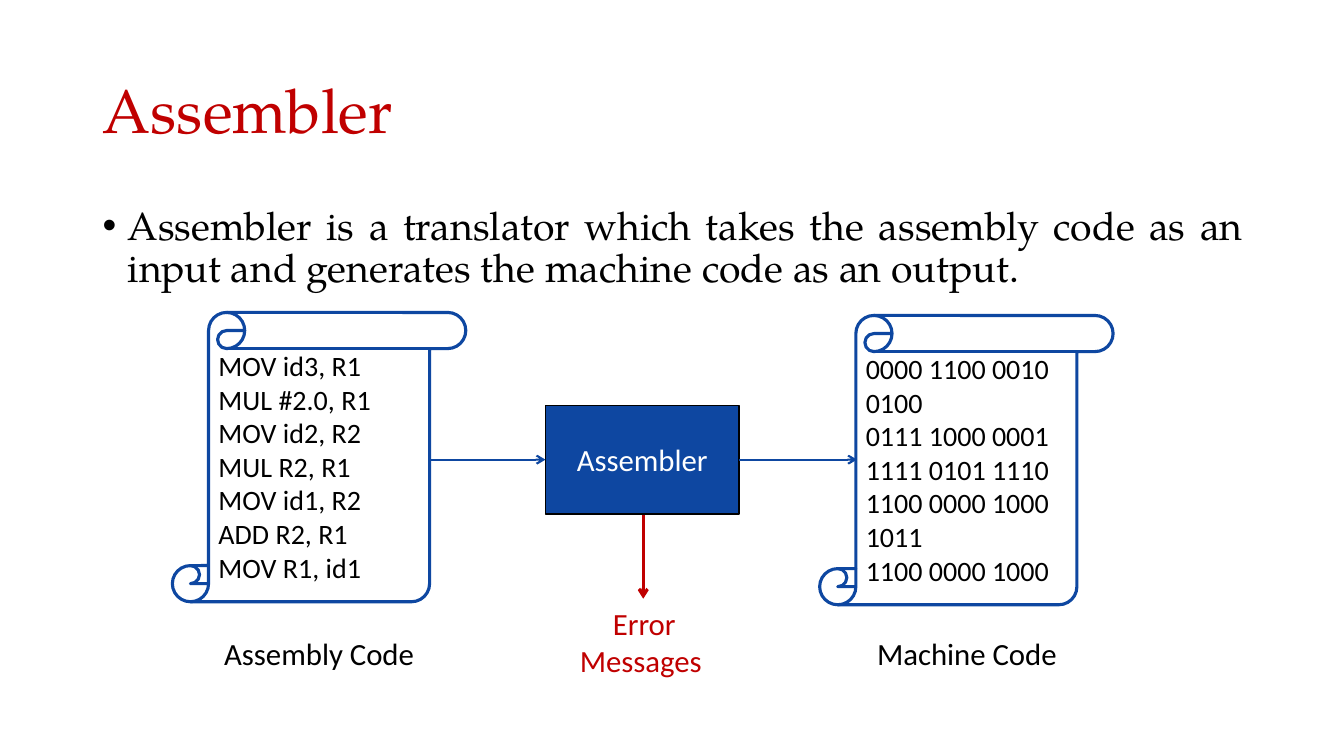
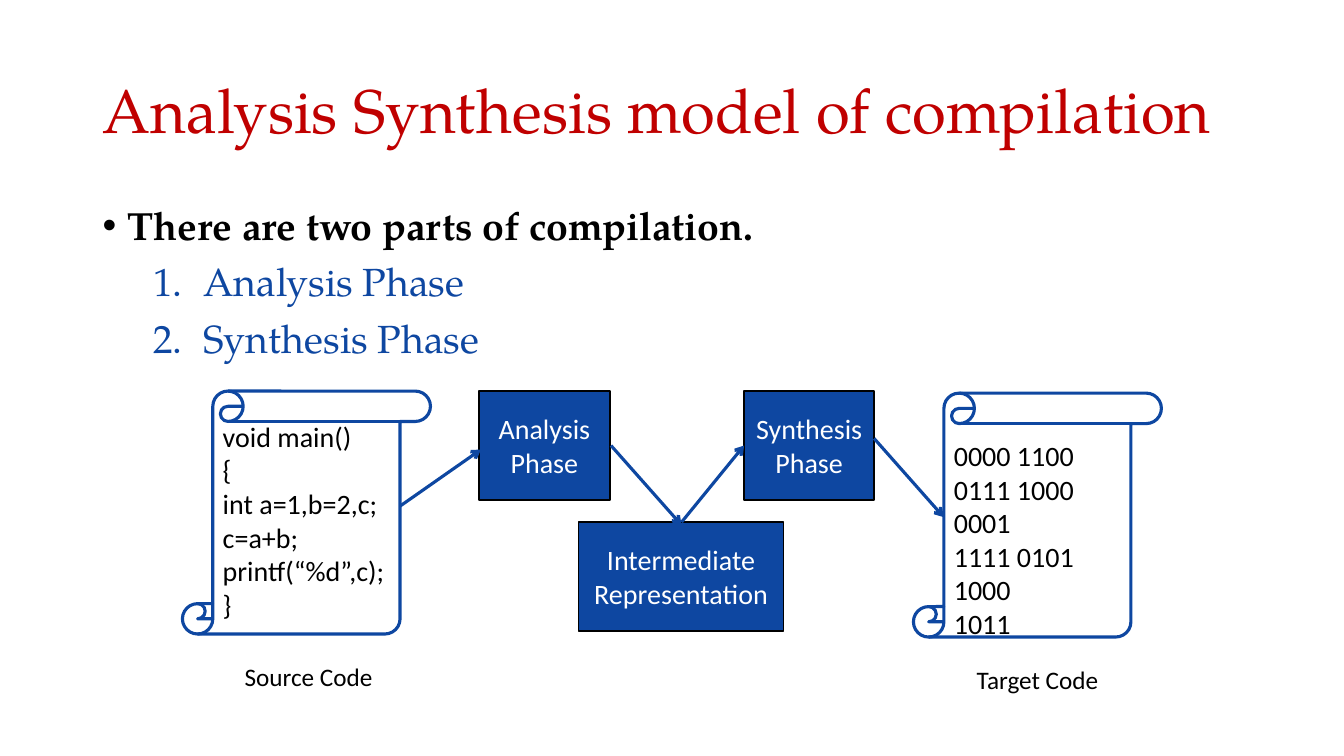
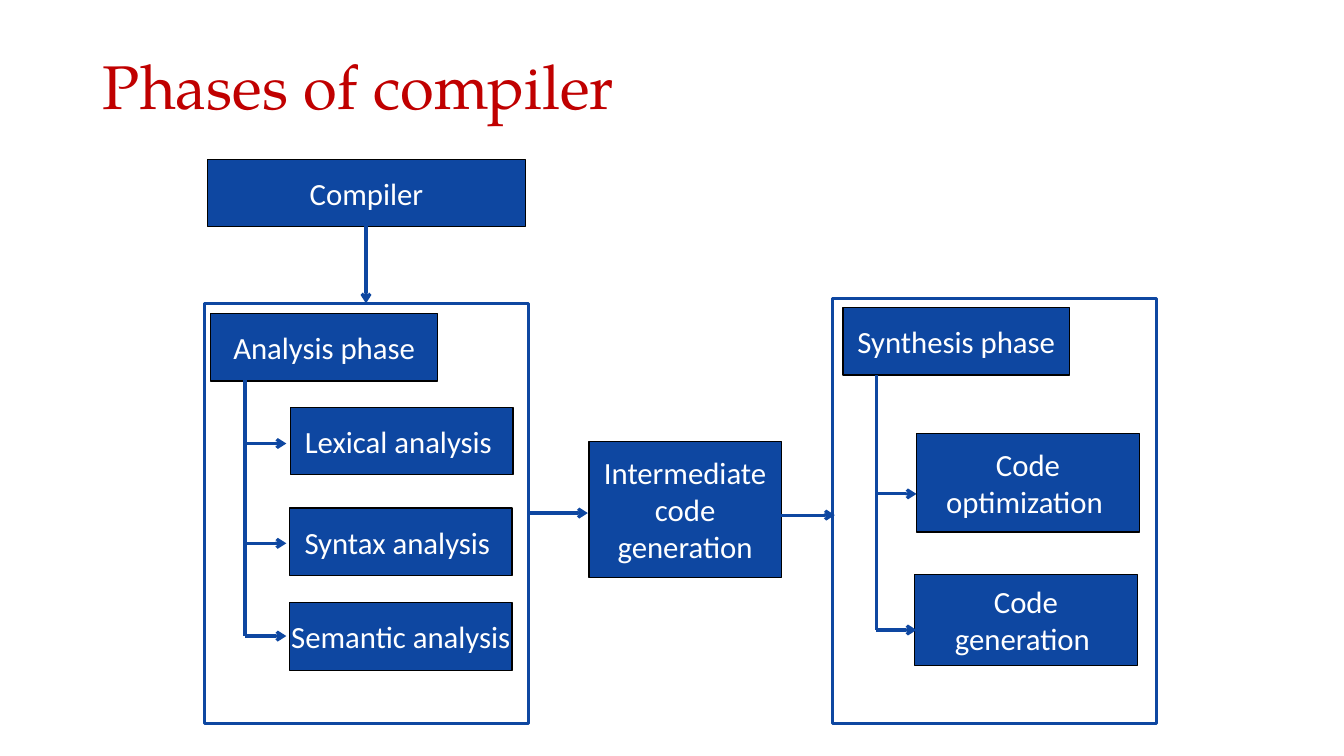
"""Builds three slides on assemblers, compilation and compiler phases."""
from dataclasses import dataclass

from lxml.etree import SubElement
from pptx import Presentation
from pptx.dml.color import RGBColor
from pptx.enum.shapes import MSO_CONNECTOR as Connector, MSO_SHAPE as Preset
from pptx.enum.text import MSO_ANCHOR as Anchor, MSO_AUTO_SIZE as AutoSize, PP_ALIGN as Align
from pptx.oxml.ns import qn
from pptx.util import Emu, Pt

PX = 9144
BLUE, RED, BLACK, WHITE = "0E47A1", "C00000", "000000", "FFFFFF"
SANS, SERIF = "Calibri", "TeX Gyre Pagella"
HEAVY, MEDIUM, THIN = 2.25, 1.5, 1


@dataclass(frozen=True)
class Style:
    preset: Preset | None
    fill: str | None
    line: str | None
    weight: float
    ink: str
    align: Align = Align.CENTER


BLOCK = Style(Preset.RECTANGLE, BLUE, BLACK, THIN, WHITE)
FRAME = Style(Preset.RECTANGLE, None, BLUE, HEAVY, BLACK)
SCROLL = Style(Preset.VERTICAL_SCROLL, None, BLUE, HEAVY, BLACK, Align.LEFT)
LABEL = Style(None, None, None, 0, BLACK)
WARNING = Style(None, None, None, 0, RED)


@dataclass(frozen=True)
class Item:
    style: Style
    left: int
    top: int
    width: int
    height: int
    text: str = ""
    size: int = 22
    inset: int = 10
    inset_top: int = 5


@dataclass(frozen=True)
class Line:
    x1: int
    y1: int
    x2: int
    y2: int
    color: str = BLUE
    weight: float = HEAVY
    arrow: bool = True


@dataclass(frozen=True)
class Bullet:
    text: str
    color: str = BLACK
    bold: bool = False
    numbered: bool = False


@dataclass(frozen=True)
class Content:
    title: str
    items: list[Item]
    lines: list[Line]
    bullets: tuple[Bullet, ...] = ()
    title_height: int = 145


def px(*lengths: int) -> list[Emu]:
    return [Emu(length * PX) for length in lengths]


def rgb(color: str) -> RGBColor:
    return RGBColor.from_string(color)


def format_runs(para, size: int, face: str, color: str, bold: bool = False) -> None:
    for span in para.runs:
        span.font.size = Pt(size)
        span.font.name = face
        span.font.bold = bold
        span.font.color.rgb = rgb(color)


def draw_title(page, text: str, height: int) -> None:
    title = page.shapes.title
    title.left, title.top, title.width, title.height = px(92, 40, 1150, height)
    frame = title.text_frame
    frame.text = text
    frame.auto_size = AutoSize.NONE
    frame.vertical_anchor = Anchor.MIDDLE
    para = frame.paragraphs[0]
    para.alignment = Align.LEFT
    para.line_spacing = 0.9
    format_runs(para, 44, SERIF, RED)


def draw_bullets(page, bullets: tuple[Bullet, ...]) -> None:
    frame = page.shapes.add_textbox(*px(92, 200, 1150, 476)).text_frame
    frame.word_wrap = True
    frame.text = "\n".join(bullet.text for bullet in bullets)
    for index, (para, bullet) in enumerate(zip(frame.paragraphs, bullets)):
        margin, hanging = px(100, -50) if bullet.numbered else px(25, -25)
        props = para._p.get_or_add_pPr()
        props.set("marL", str(margin))
        props.set("indent", str(hanging))
        if bullet.numbered:
            SubElement(props, qn("a:buFont"), typeface="+mj-lt")
            SubElement(props, qn("a:buAutoNum"), type="arabicPeriod")
        else:
            SubElement(props, qn("a:buFont"), typeface="Arial")
            SubElement(props, qn("a:buChar"), char="•")
        para.alignment = Align.JUSTIFY
        para.line_spacing = 0.9
        para.space_before = Pt(10 if index else 0)
        format_runs(para, 28, SERIF, bullet.color, bullet.bold)


def draw_item(page, item: Item) -> None:
    style = item.style
    place = px(item.left, item.top, item.width, item.height)
    if style.preset is None:
        box = page.shapes.add_textbox(*place)
    else:
        box = page.shapes.add_shape(style.preset, *place)
        box.shadow.inherit = False
        box.line.color.rgb = rgb(style.line)
        box.line.width = Pt(style.weight)
        if style.fill:
            box.fill.solid()
            box.fill.fore_color.rgb = rgb(style.fill)
        else:
            box.fill.background()
    if not item.text:
        return
    frame = box.text_frame
    frame.word_wrap = True
    frame.vertical_anchor = Anchor.MIDDLE
    frame.margin_left, frame.margin_right, frame.margin_top = px(
        item.inset, item.inset, item.inset_top)
    frame.text = item.text
    for para in frame.paragraphs:
        para.alignment = style.align
        format_runs(para, item.size, SANS, style.ink)


def draw_line(page, line: Line) -> None:
    stroke = page.shapes.add_connector(
        Connector.STRAIGHT, *px(line.x1, line.y1, line.x2, line.y2))
    stroke.line.color.rgb = rgb(line.color)
    stroke.line.width = Pt(line.weight)
    if line.arrow:
        SubElement(stroke.line._get_or_add_ln(), qn("a:tailEnd"), type="arrow")
    SubElement(stroke._element.spPr, qn("a:effectLst"))


def draw_page(deck, content: Content) -> None:
    page = deck.slides.add_slide(deck.slide_layouts[5])
    draw_title(page, content.title, content.title_height)
    if content.bullets:
        draw_bullets(page, content.bullets)
    for item in content.items:
        draw_item(page, item)
    for line in content.lines:
        draw_line(page, line)


ASSEMBLY = """MOV id3, R1
MUL #2.0, R1
MOV id2, R2
MUL R2, R1
MOV id1, R2
ADD R2, R1
MOV R1, id1"""
MACHINE = """0000 1100 0010
0100
0111 1000 0001
1111 0101 1110
1100 0000 1000
1011
1100 0000 1000"""
SOURCE = """void main()
{
int a=1,b=2,c;
c=a+b;
printf(“%d”,c);
}"""
TARGET = """0000 1100
0111 1000 0001
1111 0101 1000
1011"""

ASSEMBLER = Content(
    "Assembler",
    [
        Item(BLOCK, 541, 402, 192, 108, "Assembler"),
        Item(SCROLL, 171, 310, 291, 287, ASSEMBLY, 20),
        Item(LABEL, 212, 594, 209, 108, "Assembly Code"),
        Item(SCROLL, 813, 313, 291, 287, MACHINE, 20),
        Item(LABEL, 850, 594, 218, 108, "Machine Code"),
        Item(WARNING, 543, 583, 192, 108, "Error\nMessages "),
    ],
    [
        Line(425, 456, 541, 456, weight=MEDIUM),
        Line(733, 456, 850, 456, weight=MEDIUM),
        Line(638, 511, 638, 594, RED),
    ],
    (Bullet("Assembler is a translator which takes the assembly code as an input "
            "and generates the machine code as an output."),),
)

COMPILATION = Content(
    "Analysis Synthesis model of compilation",
    [
        Item(BLOCK, 475, 388, 130, 108, "Analysis Phase", 20),
        Item(BLOCK, 738, 388, 129, 108, "Synthesis Phase", 20),
        Item(BLOCK, 574, 518, 203, 108, "Intermediate Representation", 20),
        Item(SCROLL, 181, 388, 246, 241, SOURCE, 20),
        Item(LABEL, 227, 646, 158, 50, "Source Code", 18),
        Item(SCROLL, 906, 390, 246, 242, TARGET, 20, inset_top=38),
        Item(LABEL, 950, 649, 158, 50, "Target Code", 18),
    ],
    [
        Line(397, 502, 477, 446),
        Line(606, 442, 676, 521),
        Line(676, 518, 738, 442),
        Line(867, 435, 936, 513),
    ],
    (
        Bullet("There are two parts of compilation.", bold=True),
        Bullet("Analysis Phase", BLUE, numbered=True),
        Bullet("Synthesis Phase", BLUE, numbered=True),
    ),
)

PHASES = Content(
    "Phases of compiler",
    [
        Item(BLOCK, 206, 158, 315, 67, "Compiler"),
        Item(FRAME, 203, 301, 321, 417),
        Item(BLOCK, 209, 311, 225, 67, "Analysis phase"),
        Item(BLOCK, 288, 404, 221, 67, "Lexical analysis "),
        Item(BLOCK, 287, 504, 221, 67, "Syntax analysis "),
        Item(BLOCK, 287, 598, 221, 67, "Semantic analysis ", inset=0),
        Item(BLOCK, 584, 438, 191, 135, "Intermediate code generation"),
        Item(FRAME, 826, 296, 321, 422),
        Item(BLOCK, 836, 305, 225, 67, "Synthesis phase"),
        Item(BLOCK, 909, 430, 221, 98, "Code optimization "),
        Item(BLOCK, 907, 570, 221, 90, "Code generation "),
    ],
    [
        Line(363, 224, 363, 301),
        Line(524, 509, 583, 509),
        Line(775, 511, 828, 511),
        Line(243, 377, 243, 631, arrow=False),
        Line(869, 372, 869, 625, arrow=False),
        *(Line(243, y, 284, y) for y in (440, 539, 631)),
        *(Line(869, y, 909, y) for y in (490, 625)),
    ],
    title_height=97,
)


def main() -> None:
    deck = Presentation()
    deck.slide_width, deck.slide_height = px(1333, 750)
    for content in (ASSEMBLER, COMPILATION, PHASES):
        draw_page(deck, content)
    deck.save("out.pptx")


if __name__ == "__main__":
    main()
